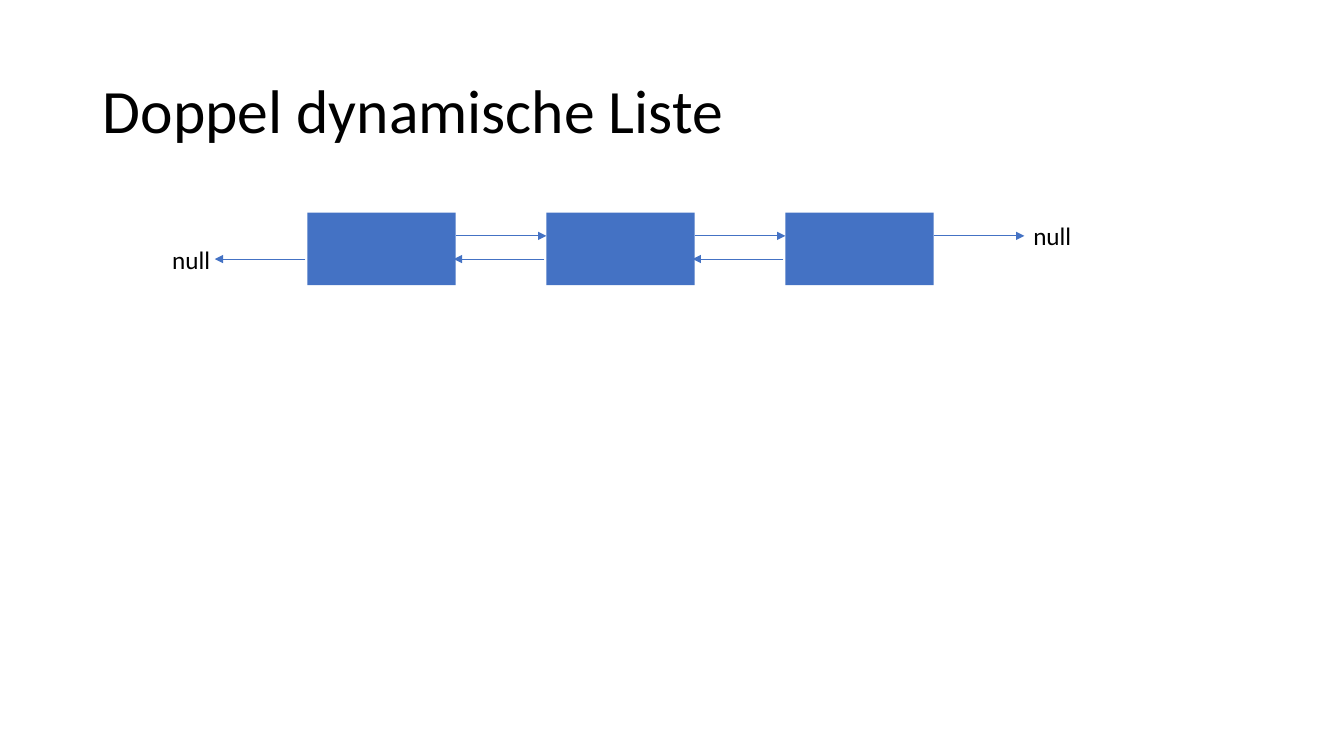
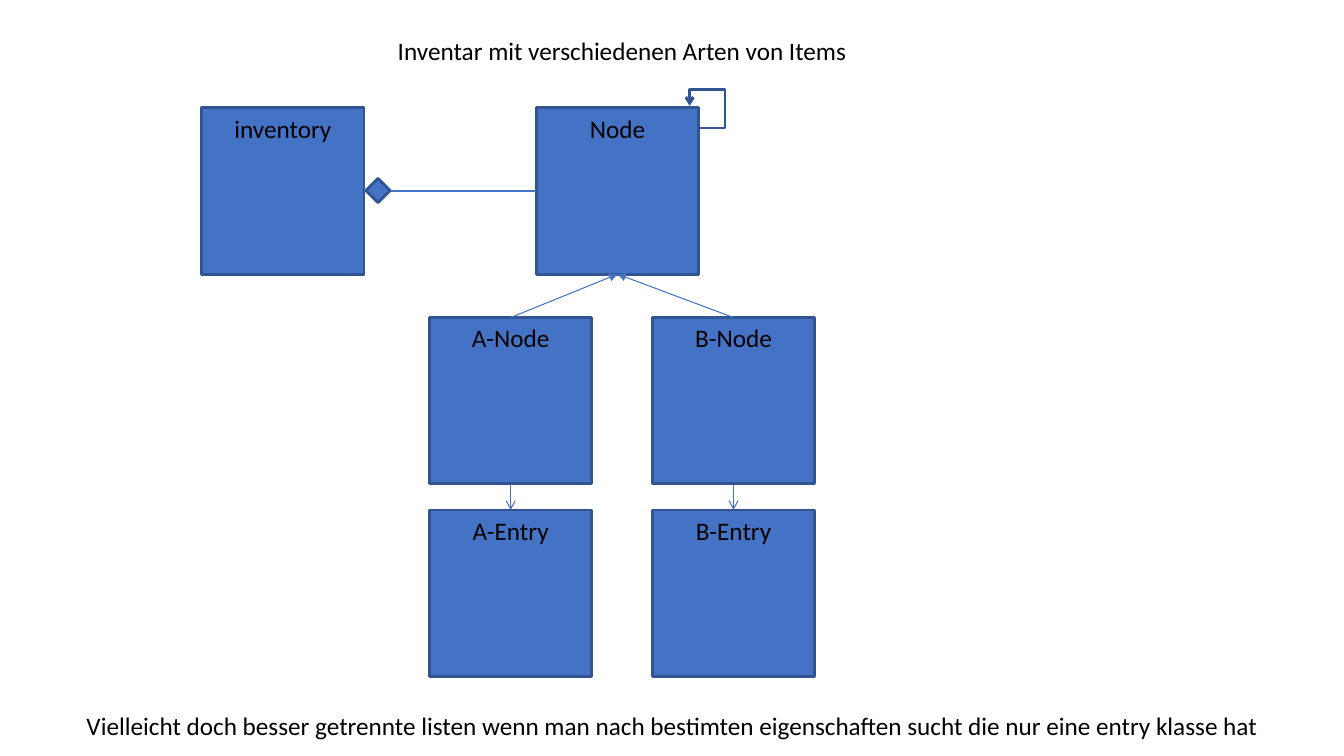
import pptx
import pptx.util
import pptx.dml.color
import pptx.enum.shapes
import pptx.enum.text
import pptx.oxml.ns
import lxml.etree

Inches = pptx.util.Inches
Pt = pptx.util.Pt
SHAPE = pptx.enum.shapes.MSO_SHAPE
ALIGN = pptx.enum.text.PP_ALIGN
ANCHOR = pptx.enum.text.MSO_ANCHOR

COLORS = {"box": "4472C4", "outline": "325490", "text": "000000"}
FONT = "Calibri"
TITLE_ONLY = 5
TOP, LEFT, BOTTOM, RIGHT = range(4)
CLASS_WIDTH, CLASS_HEIGHT = 1.61, 1.65


def rgb(name):
    return pptx.dml.color.RGBColor.from_string(COLORS[name])


def write(shape, text, size=18, align=ALIGN.LEFT, anchor=ANCHOR.TOP, spacing=1.0):
    frame = shape.text_frame
    frame.word_wrap = True
    frame.vertical_anchor = anchor
    paragraph = frame.paragraphs[0]
    paragraph.alignment = align
    paragraph.line_spacing = spacing
    run = paragraph.add_run()
    run.text = text
    run.font.size = Pt(size)
    run.font.name = FONT
    run.font.color.rgb = rgb("text")


def add_title(slide, text, left, top, width, height, **text_format):
    title = slide.shapes.title
    title.left, title.top = Inches(left), Inches(top)
    title.width, title.height = Inches(width), Inches(height)
    write(title, text, **text_format)


def add_label(slide, text, left, top, width):
    label = slide.shapes.add_textbox(Inches(left), Inches(top), Inches(width), Inches(0.4))
    write(label, text)


def add_box(slide, left, top, width, height, outlined=True, preset=SHAPE.RECTANGLE):
    box = slide.shapes.add_shape(preset, Inches(left), Inches(top), Inches(width), Inches(height))
    box.shadow.inherit = False
    box.fill.solid()
    box.fill.fore_color.rgb = rgb("box")
    if outlined:
        box.line.color.rgb = rgb("outline")
        box.line.width = Pt(2)
    else:
        box.line.fill.background()
    return box


def add_class(slide, name, left, top):
    box = add_box(slide, left, top, CLASS_WIDTH, CLASS_HEIGHT)
    write(box, name, align=ALIGN.CENTER)
    return box


def style_line(shape, color, width, arrowhead):
    shape.line.color.rgb = rgb(color)
    shape.line.width = Pt(width)
    if arrowhead:
        outline = shape.line._get_or_add_ln()
        lxml.etree.SubElement(outline, pptx.oxml.ns.qn("a:tailEnd"), type=arrowhead)


def add_line(slide, start=(0, 0), end=(0, 0), arrowhead=None):
    line = slide.shapes.add_connector(
        pptx.enum.shapes.MSO_CONNECTOR.STRAIGHT, *map(Inches, start + end))
    style_line(line, "box", 0.75, arrowhead)
    lxml.etree.SubElement(line._element.spPr, pptx.oxml.ns.qn("a:effectLst"))
    return line


def join(slide, source, source_side, target, target_side, arrowhead=None):
    line = add_line(slide, arrowhead=arrowhead)
    line.begin_connect(source, source_side)
    line.end_connect(target, target_side)


def add_self_reference(slide, points):
    corners = [(Inches(x), Inches(y)) for x, y in points]
    builder = slide.shapes.build_freeform(*corners[0])
    builder.add_line_segments(corners[1:], close=False)
    loop = builder.convert_to_shape()
    loop.shadow.inherit = False
    loop.fill.background()
    style_line(loop, "outline", 2, "arrow")


def build_linked_list(slide):
    add_title(slide, "Doppel dynamische Liste", 0.92, 0.4, 11.5, 1.45,
              size=44, anchor=ANCHOR.MIDDLE, spacing=0.9)
    width, gap = 1.47, 0.9
    next_y, previous_y = 2.34, 2.57
    for index in range(3):
        left = 3.05 + index * (width + gap)
        right = left + width
        add_box(slide, left, 2.11, width, 0.72, outlined=False)
        add_line(slide, (right, next_y), (right + gap, next_y), "triangle")
        add_line(slide, (left - 0.02, previous_y), (left - 0.02 - gap, previous_y), "triangle")
    add_label(slide, "null", 10.15, 2.14, 0.7)
    add_label(slide, "null", 1.61, 2.37, 0.7)


def build_inventory(slide):
    add_title(slide, "Inventar mit verschiedenen Arten von Items", 3.67, 0.3, 5, 0.4,
              align=ALIGN.CENTER)
    inventory = add_class(slide, "inventory", 2, 1.07)
    node = add_class(slide, "Node", 5.32, 1.07)
    for letter, left in (("A", 4.26), ("B", 6.47)):
        subclass = add_class(slide, f"{letter}-Node", left, 3.15)
        entry = add_class(slide, f"{letter}-Entry", left, 5.06)
        join(slide, subclass, TOP, node, BOTTOM, "triangle")
        join(slide, subclass, BOTTOM, entry, TOP, "arrow")
    join(slide, node, LEFT, inventory, RIGHT)
    add_box(slide, 3.63, 1.77, 0.24, 0.24, preset=SHAPE.DIAMOND)
    add_self_reference(
        slide, [(6.92, 1.27), (7.19, 1.27), (7.19, 0.89), (6.84, 0.89), (6.84, 1.05)])
    add_label(slide, "Vielleicht doch besser getrennte listen wenn man nach bestimten "
              "eigenschaften sucht die nur eine entry klasse hat", 0.76, 7, 12.2)


def main():
    deck = pptx.Presentation()
    deck.slide_width, deck.slide_height = Inches(13.33), Inches(7.5)
    for build in (build_linked_list, build_inventory):
        build(deck.slides.add_slide(deck.slide_layouts[TITLE_ONLY]))
    deck.save("out.pptx")


if __name__ == "__main__":
    main()
